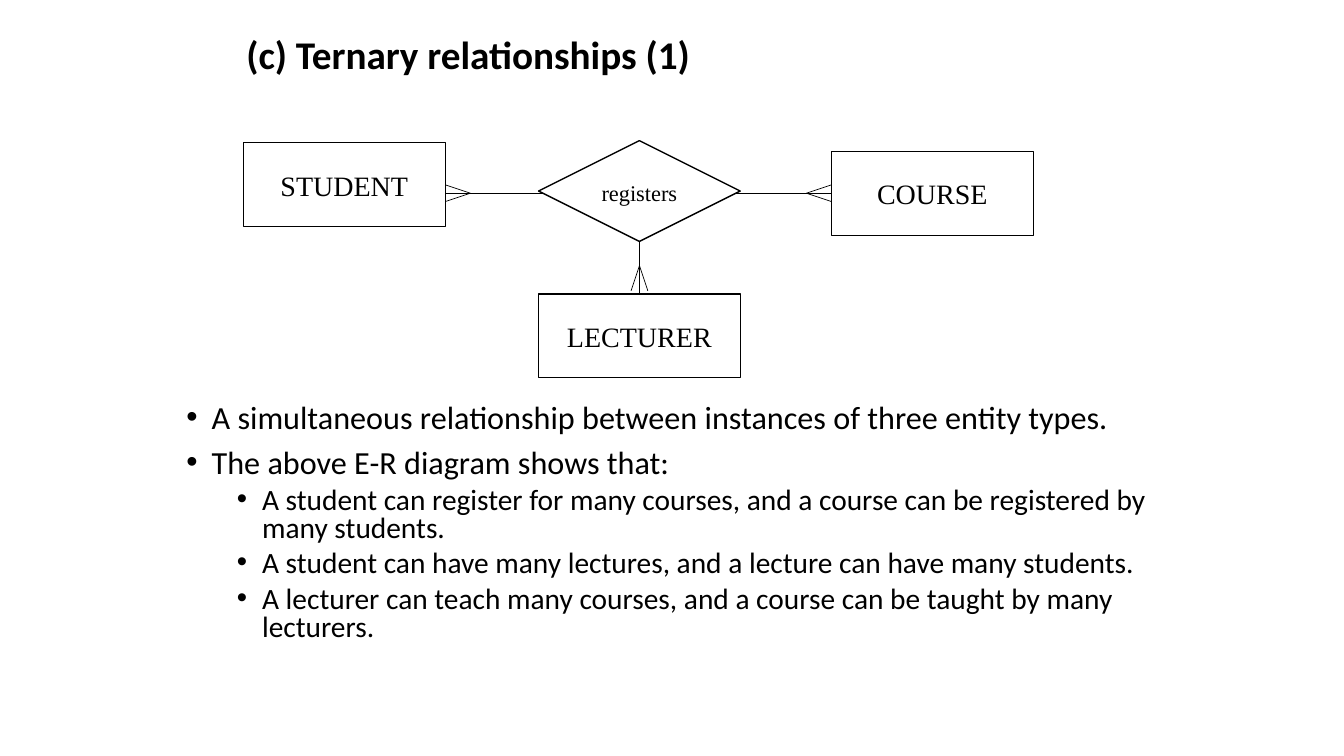
import lxml.etree
import pptx
import pptx.dml.color
import pptx.enum.shapes
import pptx.enum.text
import pptx.oxml.ns
import pptx.util

PX = 9525  # EMU per px, 96 px to the inch
BLACK = pptx.dml.color.RGBColor(0, 0, 0)
WHITE = pptx.dml.color.RGBColor(255, 255, 255)
THEME = {
    "title": {"font": "Calibri", "size": 28, "bold": True},
    "points": [{"font": "Calibri", "size": 23}, {"font": "Calibri", "size": 21}],
    "entity": {"font": "Times New Roman", "size": 20},
    "relationship": {"font": "Times New Roman", "size": 16},
    "ink": BLACK,
    "paper": WHITE,
}
ALIGN = pptx.enum.text.PP_ALIGN
ANCHOR = pptx.enum.text.MSO_ANCHOR
SHAPE = pptx.enum.shapes.MSO_SHAPE
qn = pptx.oxml.ns.qn


def write(paragraph, text, *, font, size, bold=False, align=ALIGN.LEFT):
    paragraph.alignment = align
    run = paragraph.add_run()
    run.text = text
    run.font.name = font
    run.font.size = pptx.util.Pt(size)
    run.font.bold = bold
    run.font.color.rgb = THEME["ink"]


def place(shape, left, top, width, height):
    shape.left, shape.top = left * PX, top * PX
    shape.width, shape.height = width * PX, height * PX


prs = pptx.Presentation()
prs.slide_width, prs.slide_height = 1280 * PX, 720 * PX
slide = prs.slides.add_slide(prs.slide_layouts[1])

# Title and explanation
title, explanation = slide.placeholders
place(title, 225, 24, 472, 54)
place(explanation, 168, 381, 940, 291)
for placeholder in (title, explanation):
    placeholder.text_frame.auto_size = pptx.enum.text.MSO_AUTO_SIZE.NONE
    placeholder.text_frame.vertical_anchor = ANCHOR.TOP
write(title.text_frame.paragraphs[0], "(c) Ternary relationships (1)", **THEME["title"])

points = [
    (0, "A simultaneous relationship between instances of three entity types."),
    (0, "The above E-R diagram shows that:"),
    (1, "A student can register for many courses, and a course can be registered by many students."),
    (1, "A student can have many lectures, and a lecture can have many students."),
    (1, "A lecturer can teach many courses, and a course can be taught by many lecturers."),
]
for index, (level, point) in enumerate(points):
    frame = explanation.text_frame
    paragraph = frame.add_paragraph() if index else frame.paragraphs[0]
    paragraph.level = level
    properties = paragraph._p.get_or_add_pPr()
    properties.set("marL", str((24 + 48 * level) * PX))
    properties.set("indent", str(-24 * PX))
    lxml.etree.SubElement(properties, qn("a:buFont")).set("typeface", "Arial")
    lxml.etree.SubElement(properties, qn("a:buChar")).set("char", "•")
    paragraph.line_spacing = 0.8
    paragraph.space_before = pptx.util.Pt((10, 5)[level] if index else 0)
    write(paragraph, point, **THEME["points"][level])

# Entities
ENTITY_WIDTH, ENTITY_HEIGHT = 192, 80
STUDENT_LEFT, COURSE_LEFT, LECTURER_LEFT = 232, 792, 513
LECTURER_TOP = 280
AXIS_X, AXIS_Y = LECTURER_LEFT + ENTITY_WIDTH // 2, 184
STUDENT_RIGHT = STUDENT_LEFT + ENTITY_WIDTH

entities = [
    ("STUDENT", STUDENT_LEFT, 136),
    ("COURSE", COURSE_LEFT, 144),
    ("LECTURER", LECTURER_LEFT, LECTURER_TOP),
]
for entity_name, left, top in entities:
    entity = slide.shapes.add_shape(
        SHAPE.RECTANGLE, left * PX, top * PX, ENTITY_WIDTH * PX, ENTITY_HEIGHT * PX)
    entity.shadow.inherit = False
    entity.fill.background()
    entity.line.color.rgb = THEME["ink"]
    entity.line.width = pptx.util.Pt(0.75)
    entity.text_frame.word_wrap = False
    entity.text_frame.vertical_anchor = ANCHOR.MIDDLE
    write(entity.text_frame.paragraphs[0], entity_name, align=ALIGN.CENTER, **THEME["entity"])

# Links, then a crow's foot at the "many" end of each
TOE, SPREAD = 24, 8
strokes = [
    (STUDENT_RIGHT, AXIS_Y, COURSE_LEFT, AXIS_Y, 0.75),
    (AXIS_X, AXIS_Y, AXIS_X, LECTURER_TOP, 0.75),
]
for offset in (-SPREAD, SPREAD):
    strokes += [
        (STUDENT_RIGHT + TOE, AXIS_Y, STUDENT_RIGHT, AXIS_Y + offset, 0.5),
        (COURSE_LEFT - TOE, AXIS_Y, COURSE_LEFT, AXIS_Y + offset, 0.5),
        (AXIS_X, LECTURER_TOP - 27, AXIS_X + offset, LECTURER_TOP - 3, 0.5),
    ]
for x1, y1, x2, y2, weight in strokes:
    stroke = slide.shapes.add_connector(
        pptx.enum.shapes.MSO_CONNECTOR.STRAIGHT, x1 * PX, y1 * PX, x2 * PX, y2 * PX)
    stroke.line.color.rgb = THEME["ink"]
    stroke.line.width = pptx.util.Pt(weight)
    lxml.etree.SubElement(stroke._element.spPr, qn("a:effectLst"))

# Relationship
diamond = slide.shapes.add_shape(
    SHAPE.DIAMOND, LECTURER_LEFT * PX, 134 * PX, ENTITY_WIDTH * PX, 96 * PX)
diamond.line.color.rgb = THEME["ink"]
diamond.line.width = pptx.util.Pt(1)
relationship = slide.shapes.add_shape(
    SHAPE.RECTANGLE, (AXIS_X - 52) * PX, 166 * PX, 104 * PX, 36 * PX)
relationship.line.fill.background()
for shape in (diamond, relationship):
    shape.shadow.inherit = False
    shape.fill.solid()
    shape.fill.fore_color.rgb = THEME["paper"]
relationship.text_frame.vertical_anchor = ANCHOR.TOP
write(relationship.text_frame.paragraphs[0], "registers", align=ALIGN.CENTER,
      **THEME["relationship"])

prs.save("out.pptx")
